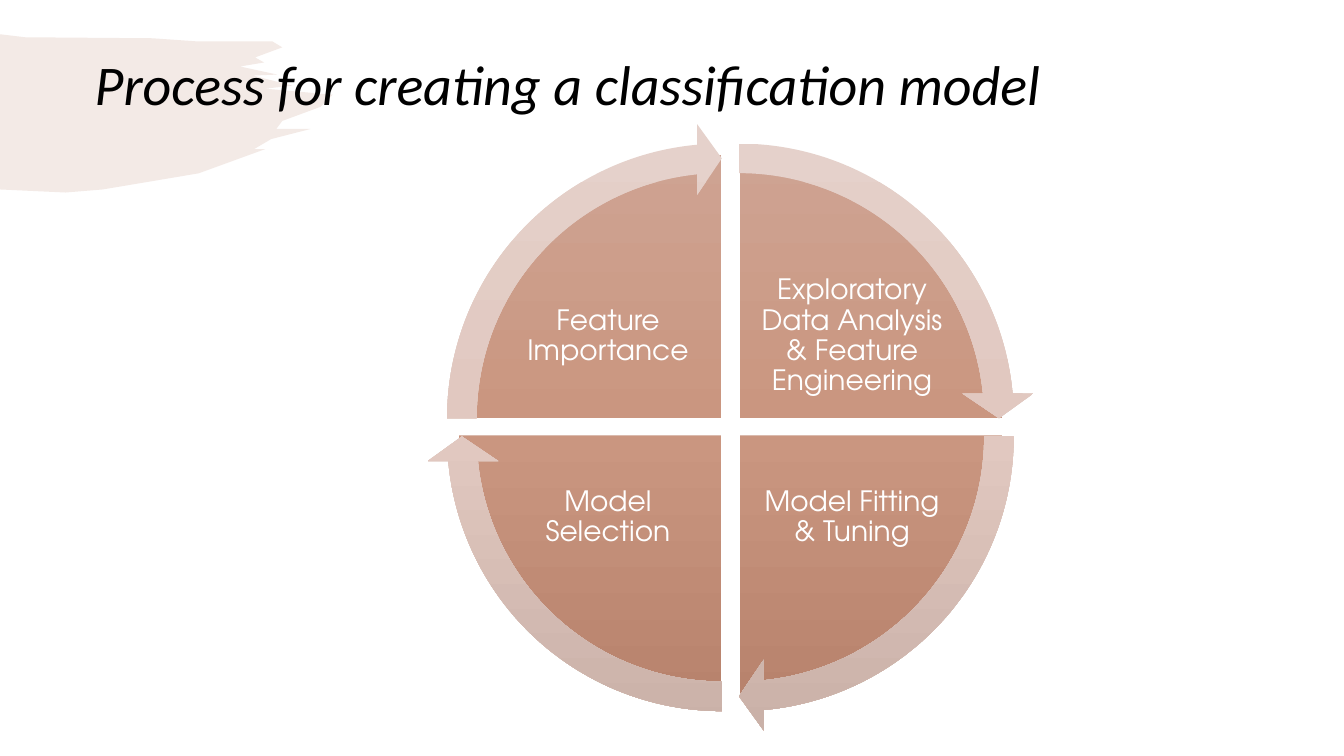
from copy import deepcopy
from dataclasses import dataclass

from lxml import etree
from pptx import Presentation, util as u
from pptx.dml.color import RGBColor
from pptx.enum import shapes, text
from pptx.oxml.ns import qn

PX = 9144


@dataclass(frozen=True)
class Theme:
    title_font: str = "Calibri"
    label_font: str = "TeX Gyre Adventor"
    title_size: int = 40
    label_size: int = 20
    title_color: str = "000000"
    label_color: str = "FFFFFF"
    brush: str = "C79783"
    brush_opacity: int = 20
    pie: tuple = ("CEA392", "CA9680", "B8836D")
    arrow: tuple = ("E5D1CB", "E1C8C0", "CAB1A8")


BRUSH = [
    (0, 34), (25, 37), (151, 38), (194, 41), (270, 41), (280, 47),
    (253, 57), (262, 62), (238, 66), (275, 74), (251, 75), (290, 85),
    (263, 88), (330, 94), (318, 106), (280, 120), (274, 128), (308, 128),
    (269, 138), (252, 148), (263, 148), (197, 172), (102, 188), (65, 191),
    (0, 188),
]
STAGES = [
    "Exploratory Data Analysis & Feature Engineering",
    "Model Fitting & Tuning",
    "Model Selection",
    "Feature Importance",
]


def write(tf, content, *, font, size, color, italic=False, align=None,
          inset=10, space_after=0):
    tf.word_wrap = True
    tf.vertical_anchor = text.MSO_ANCHOR.MIDDLE
    tf.margin_left = tf.margin_right = inset * PX
    tf.margin_top = tf.margin_bottom = min(inset, 5) * PX
    p = tf.paragraphs[0]
    p.alignment = align
    p.line_spacing = 0.9
    p.space_after = u.Pt(space_after)
    r = p.add_run()
    r.text = content
    r.font.name = font
    r.font.size = u.Pt(size)
    r.font.italic = italic
    r.font.color.rgb = RGBColor.from_string(color)


class Deck:
    def __init__(self, theme):
        self.theme = theme
        self.prs = Presentation()
        self.prs.slide_width = 1333 * PX
        self.prs.slide_height = 750 * PX
        self.s = self.prs.slides.add_slide(self.prs.slide_layouts[6])

    def text_box(self, box, content, **style):
        sp = self.s.shapes.add_textbox(*(v * PX for v in box))
        write(sp.text_frame, content, **style)

    def brush(self, points):
        fb = self.s.shapes.build_freeform(*points[0], scale=PX)
        fb.add_line_segments(points[1:], close=True)
        sp = fb.convert_to_shape()
        sp.shadow.inherit = False
        sp.line.fill.background()
        sp.fill.solid()
        sp.fill.fore_color.rgb = RGBColor.from_string(self.theme.brush)
        color = sp._element.spPr.find(qn("a:solidFill"))[0]
        alpha = etree.SubElement(color, qn("a:alpha"))
        alpha.set("val", str(self.theme.brush_opacity * 1000))

    def gradient_shape(self, kind, left, top, size, adjustments, colors):
        sp = self.s.shapes.add_shape(kind, left * PX, top * PX, size * PX, size * PX)
        for i, value in enumerate(adjustments):
            sp.adjustments[i] = value
        sp.shadow.inherit = False
        sp.line.fill.background()
        sp.fill.gradient()
        sp.fill.gradient_angle = 270
        stops = sp._element.spPr.find(qn("a:gradFill")).find(qn("a:gsLst"))
        stops.append(deepcopy(stops[0]))
        for i, (stop, color) in enumerate(zip(sp.fill.gradient_stops, colors)):
            stop.position = i / 2
            stop.color.rgb = RGBColor.from_string(color)

    def pie(self, left, top, start):
        self.gradient_shape(shapes.MSO_SHAPE.PIE, left, top, 521,
                            (start, (start + 54) % 216), self.theme.pie)

    def arrow(self, left, top, start):
        self.gradient_shape(shapes.MSO_SHAPE.CIRCULAR_ARROW, left, top, 586,
                            (0.05, 3.28, (start + 50.72) % 216, start, 0.06),
                            self.theme.arrow)


def main():
    theme = Theme()
    deck = Deck(theme)
    deck.brush(BRUSH)
    deck.text_box((84, 14, 1232, 145), "Process for creating a classification model",
                  font=theme.title_font, size=theme.title_size,
                  color=theme.title_color, italic=True)

    quadrants = [(int(i < 2), int(i in (1, 2)), (162 + 54 * i) % 216) for i in range(4)]
    for stage, (right, lower, start) in zip(STAGES, quadrants):
        deck.pie(455 + 18 * right, 154 + 18 * lower, start)
        deck.text_box((507 + 242 * right, 262 + 180 * lower, 192, 143), stage,
                      font=theme.label_font, size=theme.label_size,
                      color=theme.label_color, align=text.PP_ALIGN.CENTER,
                      inset=3, space_after=7)
    for right, lower, start in quadrants:
        deck.arrow(423 + 17 * right, 122 + 18 * lower, start)
    deck.prs.save("out.pptx")


if __name__ == "__main__":
    main()
